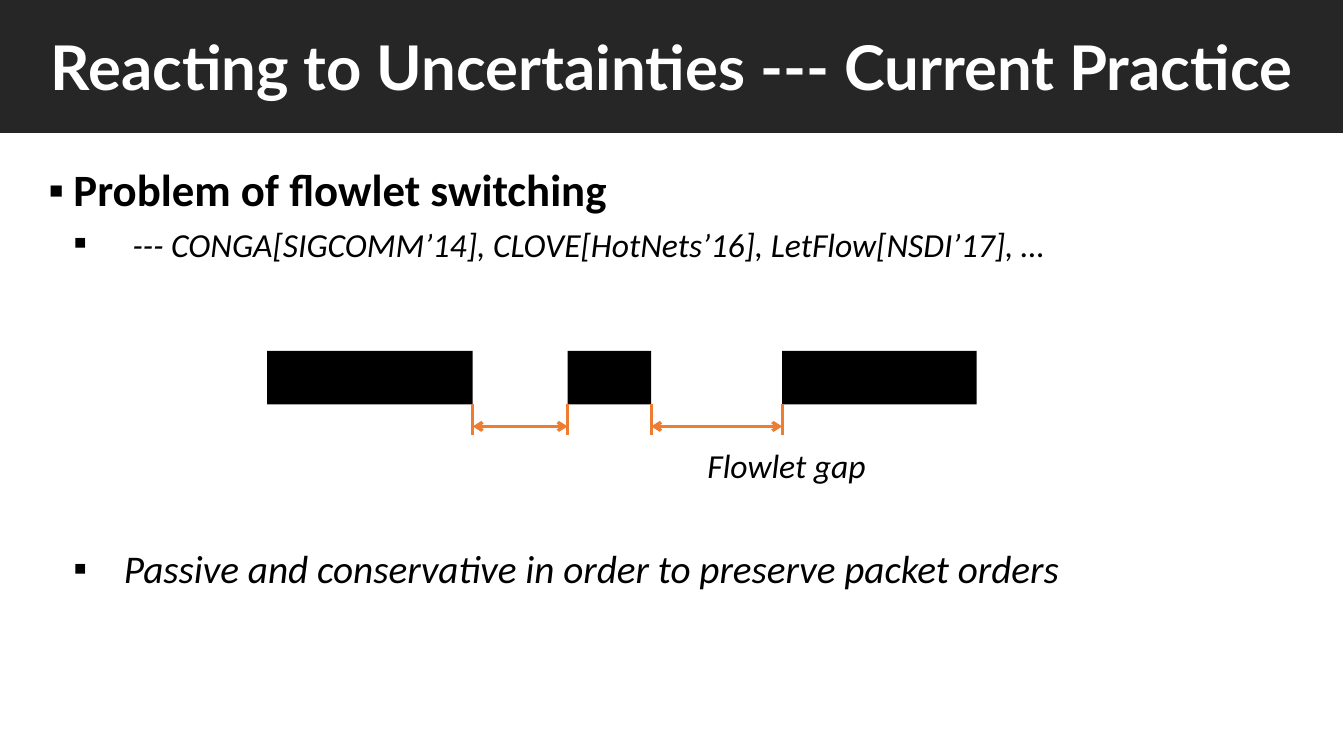
from lxml import etree
from pptx import Presentation
from pptx import util as u
from pptx.dml.color import RGBColor
from pptx.enum import shapes, text
from pptx.oxml import ns

BLACK = RGBColor(0x00, 0x00, 0x00)
WHITE = RGBColor(0xFF, 0xFF, 0xFF)
DARK = RGBColor(0x26, 0x26, 0x26)
ORANGE = RGBColor(0xED, 0x7D, 0x31)

FLOWLETS = [(190.8, 146.9), (405.4, 59.8), (558.7, 139)]
TOP, HEIGHT = 250.6, 38.2


class Deck:
    font = "Calibri"
    stroke = 2.25

    def __init__(self, width, height):
        self.file = Presentation()
        self.file.slide_width = u.Pt(width)
        self.file.slide_height = u.Pt(height)
        self.slide = self.file.slides.add_slide(self.file.slide_layouts[5])

    def run(self, para, words, size, color=BLACK, bold=False, italic=False, font=None):
        run = para.add_run()
        run.text = words
        run.font.name = font or self.font
        run.font.size = u.Pt(size)
        run.font.bold = bold
        run.font.italic = italic
        run.font.color.rgb = color

    def block(self, left, top, width, height):
        box = [u.Pt(n) for n in (left, top, width, height)]
        block = self.slide.shapes.add_shape(shapes.MSO_SHAPE.RECTANGLE, *box)
        block.shadow.inherit = False
        block.fill.solid()
        block.fill.fore_color.rgb = BLACK
        block.line.fill.background()
        return block

    def title(self, words):
        title = self.slide.shapes.title
        title.left, title.top = u.Pt(0), u.Pt(16.6)
        title.width, title.height = u.Pt(960), u.Pt(60.5)
        frame = title.text_frame
        frame.word_wrap = True
        frame.auto_size = text.MSO_AUTO_SIZE.NONE
        frame.vertical_anchor = text.MSO_ANCHOR.MIDDLE
        para = frame.paragraphs[0]
        para.alignment = text.PP_ALIGN.CENTER
        self.run(para, words, 44, WHITE, bold=True, font="Lato")
        band = self.block(-0.7, -3.6, 960, 98.6)
        band.fill.fore_color.rgb = DARK
        title.element.addprevious(band.element)

    def frame(self, left, top, width, height, wrap=True):
        box = [u.Pt(n) for n in (left, top, width, height)]
        frame = self.slide.shapes.add_textbox(*box).text_frame
        frame.word_wrap = wrap
        return frame

    def indent(self, para, margin, hang=0, level=0, bullet=None):
        para.level = level
        props = para._p.get_or_add_pPr()
        props.set("marL", str(u.Pt(margin)))
        props.set("indent", str(u.Pt(-hang)))
        if bullet:
            face = etree.SubElement(props, ns.qn("a:buFont"))
            face.set("typeface", "Arial")
            mark = etree.SubElement(props, ns.qn("a:buChar"))
            mark.set("char", bullet)

    def line(self, group, start, end, arrows=False):
        ends = [u.Pt(n) for n in (*start, *end)]
        line = group.shapes.add_connector(shapes.MSO_CONNECTOR.STRAIGHT, *ends)
        line.line.color.rgb = ORANGE
        line.line.width = u.Pt(self.stroke)
        etree.SubElement(line.element.spPr, ns.qn("a:effectLst"))
        if arrows:
            for tag in ("a:headEnd", "a:tailEnd"):
                etree.SubElement(line.line._ln, ns.qn(tag)).set("type", "arrow")

    def gap(self, left, right, top):
        group = self.slide.shapes.add_group_shape()
        for x in (left, right):
            self.line(group, (x, top), (x, top + 21.6))
        self.line(group, (right, top + 15.8), (left, top + 15.8), arrows=True)


def main():
    deck = Deck(960, 540)
    deck.title("Reacting to Uncertainties --- Current Practice")

    body = deck.frame(27.4, 116.6, 828, 342.7)
    head = body.paragraphs[0]
    head.line_spacing = 0.9
    head.space_before = u.Pt(10)
    deck.indent(head, 18, 18, bullet="▪")
    deck.run(head, "Problem of flowlet switching", 32, bold=True)
    works = body.add_paragraph()
    works.line_spacing = 0.9
    works.space_before = u.Pt(5)
    deck.indent(works, 54, 36, level=1, bullet="▪")
    deck.run(works, " ", 28)
    deck.run(works, "--- CONGA[SIGCOMM’14], CLOVE[HotNets’16], LetFlow[NSDI’17], …",
             24, italic=True)

    for left, width in FLOWLETS:
        deck.block(left, TOP, width, HEIGHT)
    for (left, width), (right, _) in zip(FLOWLETS, FLOWLETS[1:]):
        deck.gap(left + width, right, TOP + HEIGHT)

    label = deck.frame(426.2, 313.9, 201.6, 36, wrap=False)
    label.auto_size = text.MSO_AUTO_SIZE.SHAPE_TO_FIT_TEXT
    para = label.paragraphs[0]
    para.alignment = text.PP_ALIGN.JUSTIFY
    deck.indent(para, 72, level=2)
    deck.run(para, "Flowlet gap", 24, italic=True)

    note = deck.frame(45.4, 385.2, 722.2, 41)
    note.auto_size = text.MSO_AUTO_SIZE.SHAPE_TO_FIT_TEXT
    para = note.paragraphs[0]
    deck.indent(para, 36, 36, level=1, bullet="▪")
    deck.run(para, "Passive and conservative in order to preserve packet orders",
             28, italic=True)

    deck.file.save("out.pptx")


if __name__ == "__main__":
    main()
